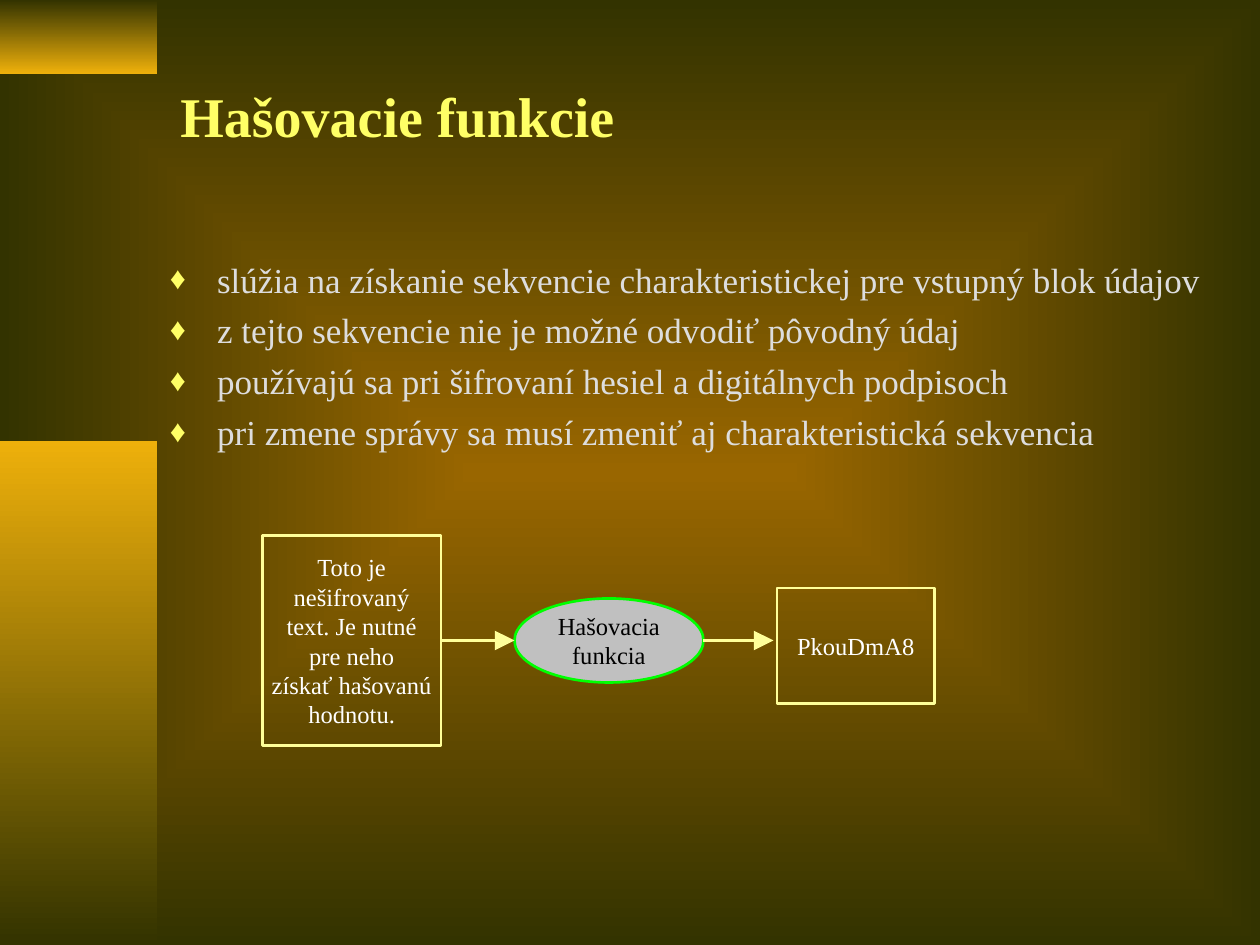
from pptx import Presentation
from pptx.dml.color import RGBColor
from pptx.enum.shapes import MSO_CONNECTOR as Connector, MSO_SHAPE as Shape
from pptx.enum.text import MSO_ANCHOR as Anchor, PP_ALIGN as Align
from pptx.oxml import parse_xml
from pptx.oxml.ns import nsdecls, qn
from pptx.util import Pt

FONT = "Times New Roman"
DARK, BROWN, GOLD = "333300", "996600", "EEB00B"
YELLOW, PALE, GREY = "FFFF66", "FFFF99", "DDDDDD"

TITLE = "Hašovacie funkcie"
BULLETS = [
    "slúžia na získanie sekvencie charakteristickej pre vstupný blok údajov",
    "z tejto sekvencie nie je možné odvodiť pôvodný údaj",
    "používajú sa pri šifrovaní hesiel a digitálnych podpisoch",
    "pri zmene správy sa musí zmeniť aj charakteristická sekvencia",
]
# left, top, width, height, top colour, bottom colour
SIDE_BANDS = [
    (0, 0, 90, 42, DARK, GOLD),
    (0, 252, 90, 288, GOLD, DARK),
]
# preset, (left, top, width, height), fill, line, text colour, lines
STEPS = [
    (Shape.RECTANGLE, (150, 306, 102, 120), None, PALE, "FFFFFF",
     ["Toto je", "nešifrovaný", "text. Je nutné", "pre neho",
      "získať hašovanú", "hodnotu."]),
    (Shape.OVAL, (294, 342, 108, 48), "C0C0C0", "00FF00", "000000",
     ["Hašovacia", "funkcia"]),
    (Shape.RECTANGLE, (444, 336, 90, 66), None, PALE, "FFFFFF", ["PkouDmA8"]),
]
ARROW_Y = 366
ARROWS = [(252, 294), (402, 442)]  # from x, to x


def rgb(value):
    return RGBColor.from_string(value)


def points(*values):
    return [Pt(value) for value in values]


def set_gradient(fill, first, last):
    fill.gradient()
    for stop, color in zip(fill.gradient_stops, (first, last)):
        stop.color.rgb = rgb(color)


def add_span(para, text, size, color, bold=False):
    span = para.add_run()
    span.text = text
    span.font.name = FONT
    span.font.size = Pt(size)
    span.font.bold = bold
    span.font.color.rgb = rgb(color)


def add_bullet(para):
    props = para._p.get_or_add_pPr()
    props.set("marL", str(Pt(27)))
    props.set("indent", str(Pt(-27)))
    for xml in (
        f'<a:buClr {nsdecls("a")}><a:srgbClr val="{YELLOW}"/></a:buClr>',
        f'<a:buSzPct {nsdecls("a")} val="90000"/>',
        f'<a:buFont {nsdecls("a")} typeface="{FONT}"/>',
        f'<a:buChar {nsdecls("a")} char="♦"/>',
    ):
        props.append(parse_xml(xml))


def add_paras(frame, lines):
    for index, line in enumerate(lines):
        para = frame.paragraphs[0] if index == 0 else frame.add_paragraph()
        yield index, para, line


def add_step(page, preset, place, fill, line, color, lines):
    box = page.shapes.add_shape(preset, *points(*place))
    box.shadow.inherit = False
    if fill:
        box.fill.solid()
        box.fill.fore_color.rgb = rgb(fill)
    else:
        box.fill.background()
    box.line.color.rgb = rgb(line)
    box.line.width = Pt(1.5)
    frame = box.text_frame
    frame.word_wrap = False
    frame.vertical_anchor = Anchor.MIDDLE
    frame.margin_left = frame.margin_right = 0
    frame.margin_top = frame.margin_bottom = 0
    for _, para, text in add_paras(frame, lines):
        para.alignment = Align.CENTER
        para.line_spacing = Pt(16.8)
        add_span(para, text, 14, color)
    return box


def add_arrow(page, start, end):
    arrow = page.shapes.add_connector(
        Connector.STRAIGHT, *points(start, ARROW_Y, end, ARROW_Y))
    arrow.line.color.rgb = rgb(PALE)
    arrow.line.width = Pt(2.25)
    arrow.line._get_or_add_ln().append(parse_xml(
        f'<a:tailEnd {nsdecls("a")} type="triangle" w="lg" len="lg"/>'))
    arrow._element.spPr.append(parse_xml(f'<a:effectLst {nsdecls("a")}/>'))
    return arrow


deck = Presentation()
deck.slide_width, deck.slide_height = points(720, 540)
page = deck.slides.add_slide(deck.slide_layouts[6])

# Background glowing from the centre
set_gradient(page.background.fill, BROWN, DARK)
gradient = page._element.find(".//" + qn("a:gradFill"))
gradient.replace(gradient.find(qn("a:lin")), parse_xml(
    f'<a:path {nsdecls("a")} path="rect">'
    '<a:fillToRect l="50000" t="50000" r="50000" b="50000"/></a:path>'))

# Side bands
for *place, first, last in SIDE_BANDS:
    band = page.shapes.add_shape(Shape.RECTANGLE, *points(*place))
    band.shadow.inherit = False
    band.line.fill.background()
    set_gradient(band.fill, first, last)
    band.fill.gradient_angle = 270

# Title
title = page.shapes.add_textbox(*points(96, 47, 612, 38)).text_frame
title.word_wrap = True
title.vertical_anchor = Anchor.MIDDLE
add_span(title.paragraphs[0], TITLE, 32, YELLOW, bold=True)

# Bullet list
body = page.shapes.add_textbox(*points(90, 144, 612, 126)).text_frame
body.word_wrap = True
for index, para, text in add_paras(body, BULLETS):
    para.space_before = Pt(5 if index else 0)
    add_bullet(para)
    add_span(para, text, 20, GREY)

# Hashing diagram
source, *_ = [add_step(page, *step) for step in STEPS]
arrows = [add_arrow(page, *ends) for ends in ARROWS]
arrows[0].begin_connect(source, 3)

deck.save("out.pptx")
